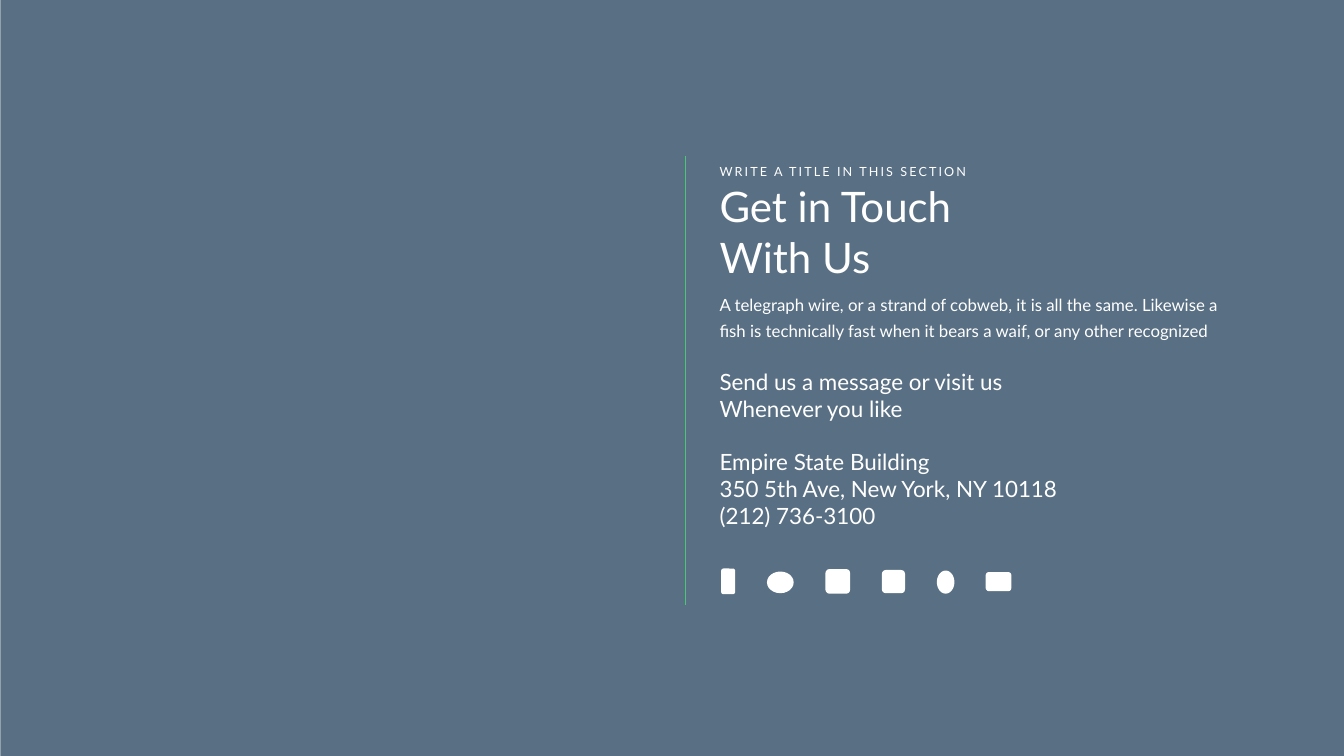
from lxml import etree
from pptx import Presentation
from pptx import util as u
from pptx.dml.color import RGBColor
from pptx.enum import shapes, text
from pptx.oxml.ns import qn

PX = 9144  # 100 px to the inch
WHITE = "FFFFFF"


def paint(color_format, color):
    color_format.rgb = RGBColor.from_string(color)


def add_shape(kind, left, top, width, height, color):
    shape = slide.shapes.add_shape(kind, left * PX, top * PX, width * PX, height * PX)
    shape.shadow.inherit = False
    shape.fill.solid()
    paint(shape.fill.fore_color, color)
    shape.line.fill.background()
    return shape


presentation = Presentation()
presentation.slide_width = 2667 * PX
presentation.slide_height = 1500 * PX
slide = presentation.slides.add_slide(presentation.slide_layouts[6])

# Translucent backdrop over a white background
slide.background.fill.solid()
paint(slide.background.fill.fore_color, WHITE)
backdrop = add_shape(shapes.MSO_SHAPE.RECTANGLE, 1, 0, 2666, 1500, "3E5870")
backdrop_color = backdrop.fill._xPr.find(qn("a:solidFill"))[0]
etree.SubElement(backdrop_color, qn("a:alpha")).set("val", "86000")

# Social icons, as plain markers
OVAL, ROUNDED = shapes.MSO_SHAPE.OVAL, shapes.MSO_SHAPE.ROUNDED_RECTANGLE
social_icons = [
    (ROUNDED, 1431, 1128, 28, 51),
    (OVAL, 1522, 1134, 53, 43),
    (ROUNDED, 1638, 1129, 49, 49),
    (ROUNDED, 1750, 1131, 46, 46),
    (OVAL, 1859, 1132, 35, 46),
    (ROUNDED, 1956, 1135, 51, 38),
]
for kind, left, top, width, height in social_icons:
    add_shape(kind, left, top, width, height, WHITE)

# Text column: top, width, height, size, wrap, wording
TEXT_LEFT = 1418
text_blocks = {
    "message": (726, 584, 118, 32, False, "Send us a message or visit us\nWhenever you like"),
    "address": (884, 705, 172, 32, False,
                "Empire State Building\n350 5th Ave, New York, NY 10118\n(212) 736-3100"),
    "kicker": (321, 530, 40, 18, False, "WRITE A TITLE IN THIS SECTION"),
    "title": (354, 505, 212, 60, False, "Get in Touch\nWith Us"),
    "intro": (567, 1013, 117, 24, True,
              "A telegraph wire, or a strand of cobweb, it is all the same. Likewise a "
              "fish is technically fast when it bears a waif, or any other recognized"),
}
for name, (top, width, height, size, wrap, wording) in text_blocks.items():
    box = slide.shapes.add_textbox(TEXT_LEFT * PX, top * PX, width * PX, height * PX)
    text_frame = box.text_frame
    text_frame.word_wrap = wrap
    text_frame.auto_size = text.MSO_AUTO_SIZE.SHAPE_TO_FIT_TEXT
    text_frame.text = wording
    for paragraph in text_frame.paragraphs:
        if name == "intro":
            paragraph.line_spacing = u.Pt(37.8)
        for run in paragraph.runs:
            run.font.name = "Lato"
            run.font.size = u.Pt(size)
            paint(run.font.color, WHITE)
            if name == "kicker":
                run._r.get_or_add_rPr().set("spc", "300")

# Vertical divider
divider = slide.shapes.add_connector(
    shapes.MSO_CONNECTOR.STRAIGHT, 1360 * PX, 309 * PX, 1360 * PX, 1200 * PX)
divider.line.width = u.Pt(0.5)
paint(divider.line.color, "4BC676")
etree.SubElement(divider._element.spPr, qn("a:effectLst"))

presentation.save("out.pptx")
